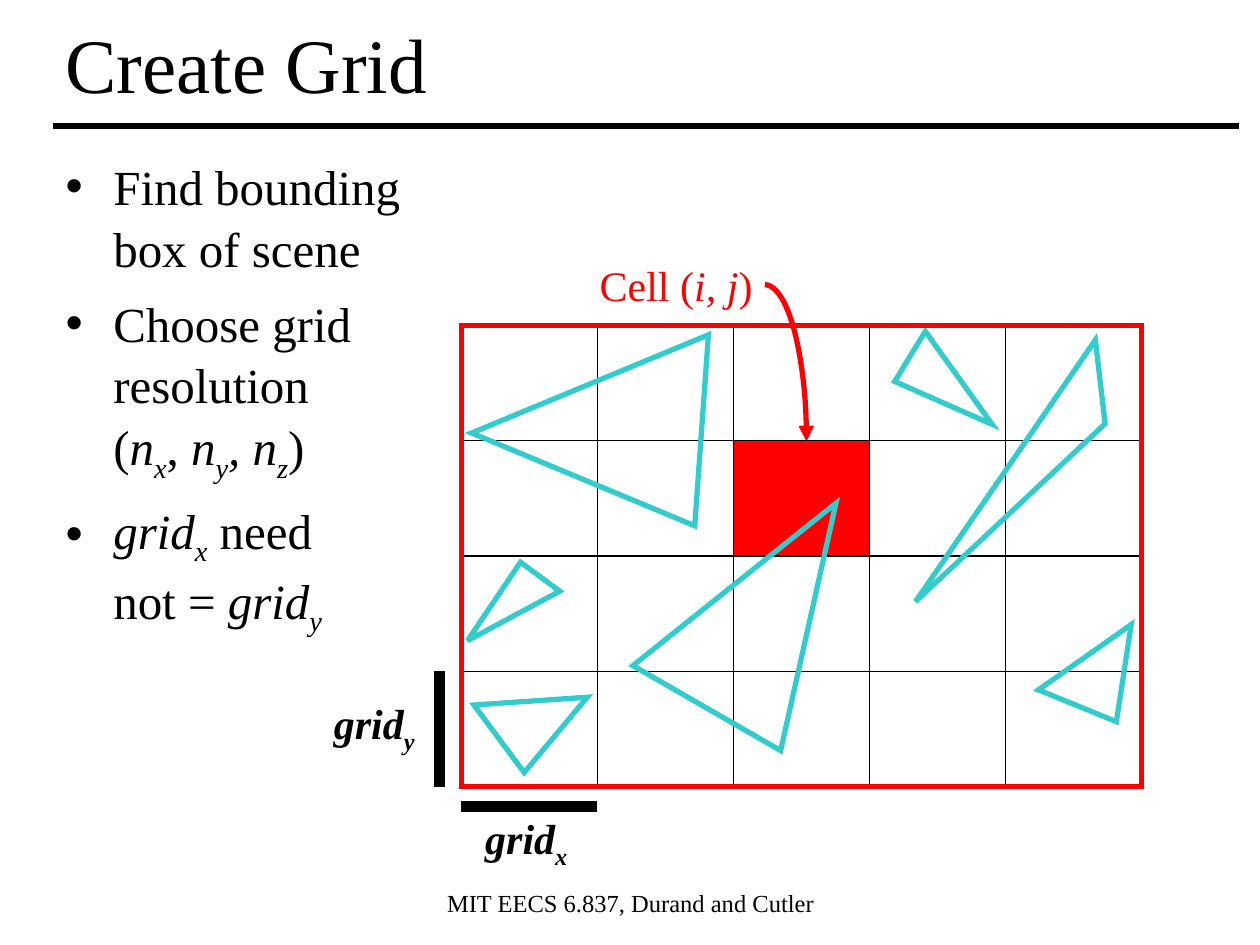
"""Build the slide on creating a grid over a scene."""
from lxml.etree import SubElement
from pptx import Presentation
from pptx.dml.color import RGBColor
from pptx.enum.shapes import MSO_CONNECTOR, MSO_SHAPE
from pptx.enum.text import MSO_ANCHOR, MSO_AUTO_SIZE, PP_ALIGN
from pptx.oxml.ns import qn
from pptx.util import Cm, Pt

TONES = {name: RGBColor.from_string(code) for name, code in {
    "black": "000000", "red": "FF0000", "teal": "33CCCC"}.items()}


def write(par, parts, size, tone="black", bold=False):
    for text, style in parts:
        if text == "\n":
            par.add_line_break()
            SubElement(par._p[-1], qn("a:rPr"), sz=str(size * 100))
            continue
        run = par.add_run()
        run.text = text
        form = {"name": "Times New Roman", "size": Pt(size),
                "bold": bold, "italic": "i" in style}
        for key, value in form.items():
            setattr(run.font, key, value)
        run.font.color.rgb = TONES[tone]
        if "s" in style:
            run._r.get_or_add_rPr().set("baseline", "-25000")


def ink(shape, tone, width):
    shape.line.color.rgb = TONES[tone]
    shape.line.width = Pt(width)
    SubElement(shape.line._get_or_add_ln(), qn("a:miter"), lim="800000")
    SubElement(shape._element.spPr, qn("a:effectLst"))


deck = Presentation()
deck.slide_width, deck.slide_height = Cm(25.4), Cm(19.05)
slide = deck.slides.add_slide(deck.slide_layouts[1])
shapes = slide.shapes
title, body = slide.placeholders

holders = [(title, (1.07, 0, 23.9, 2.51), MSO_ANCHOR.MIDDLE),
           (body, (1.07, 2.97, 7.65, 14.58), MSO_ANCHOR.TOP)]
for holder, box, anchor in holders:
    holder.left, holder.top, holder.width, holder.height = map(Cm, box)
    form = {"auto_size": MSO_AUTO_SIZE.NONE, "word_wrap": True,
            "vertical_anchor": anchor}
    for key, value in form.items():
        setattr(holder.text_frame, key, value)

head = title.text_frame.paragraphs[0]
head.alignment = PP_ALIGN.LEFT
write(head, [("Create Grid", "")], 44)

points = [
    [("Find bounding box of scene", "")],
    [("Choose grid resolution", ""), ("\n", ""), ("(", ""),
     ("n", "i"), ("x", "is"), (", ", ""), ("n", "i"), ("y", "is"),
     (", n", "i"), ("z", "is"), (")", "")],
    [("grid", "i"), ("x", "is"), (" need", ""), ("\n", ""),
     ("not = ", ""), ("grid", "i"), ("y", "is")],
]
for num, parts in enumerate(points):
    frame = body.text_frame
    par = frame.add_paragraph() if num else frame.paragraphs[0]
    props = par._p.get_or_add_pPr()
    props.set("marL", str(Cm(0.96)))
    props.set("indent", str(Cm(-0.96)))
    SubElement(SubElement(props, qn("a:buClr")), qn("a:srgbClr"),
               val=str(TONES["black"]))
    SubElement(props, qn("a:buChar"), char="•")
    par.line_spacing = 1.05
    par.space_before = Pt(7.4 if num else 0)
    write(par, parts, 28)

left, top, wide, high = 9.3, 6.56, 13.72, 9.3
col, row = wide / 5, high / 4
right, base = left + wide, top + high

cell = shapes.add_shape(MSO_SHAPE.RECTANGLE, Cm(left + 2 * col),
                        Cm(top + row), Cm(col), Cm(row))
cell.shadow.inherit = False
cell.fill.solid()
cell.fill.fore_color.rgb = TONES["red"]
cell.line.fill.background()

arc = shapes.add_shape(MSO_SHAPE.ARC, Cm(14.58), Cm(5.74), Cm(1.68), Cm(6.32))
arc.fill.background()
ink(arc, "red", 3)
SubElement(arc.line._get_or_add_ln(), qn("a:tailEnd"), type="triangle")

rules = [(left, top + n * row, right, top + n * row, 0.75) for n in range(5)]
rules += [(left + n * col, top, left + n * col, base, 0.75) for n in range(6)]
rules += [(1.07, 2.54, 24.97, 2.54, 3),
          (8.86, base, 8.86, base - row, 6),
          (left, 16.26, left + col, 16.26, 6)]
lines = []
for *ends, width in rules:
    line = shapes.add_connector(MSO_CONNECTOR.STRAIGHT, *map(Cm, ends))
    ink(line, "black", width)
    lines.append(line)

scene = [
    ((17.73, 7.39, 2.31, 1.09), 234.3, 0.8, None),
    ((17.53, 9.25, 6.4, 1.12), 304.5, 0.8, "flipV"),
    ((9.91, 6.2, 3.86, 4.62), 274.1, 0.6, "flipH"),
    ((12.14, 10.64, 5.11, 3.28), 282.6, 0.2, None),
    ((9.09, 11.58, 2.11, 0.89), 331.8, 0.8, None),
    ((20.85, 12.62, 1.98, 1.65), 278.7, 0.2, None),
    ((9.58, 13.46, 1.98, 1.65), 309.9, 0.2, None),
]
for box, angle, peak, flip in scene:
    tri = shapes.add_shape(MSO_SHAPE.ISOSCELES_TRIANGLE, *map(Cm, box))
    tri.rotation = angle
    tri.adjustments[0] = peak
    if flip:
        tri._element.spPr.xfrm.set(flip, "1")
    tri.fill.background()
    ink(tri, "teal", 3)

bound = shapes.add_shape(MSO_SHAPE.RECTANGLE, Cm(left), Cm(top),
                         Cm(wide), Cm(high))
bound.fill.background()
ink(bound, "red", 3)
lines[2].begin_connect(bound, 1)
lines[2].end_connect(bound, 3)

labels = [
    ((11.84, 5.11, 3.58, 1.27), 24, "red", False,
     [("Cell (", ""), ("i, j", "i"), (")", "")]),
    ((6.48, 13.94, 2.13, 1.42), 24, "black", True,
     [("grid", "i"), ("y", "is")]),
    ((9.53, 16.26, 2.16, 1.42), 24, "black", True,
     [("grid", "i"), ("x", "is")]),
    ((8.69, 17.78, 8.05, 1.45), 14, "black", False,
     [("MIT EECS 6.837, Durand and Cutler", "")]),
]
for box, size, tone, bold, parts in labels:
    label = shapes.add_textbox(*map(Cm, box))
    label.text_frame.word_wrap = False
    par = label.text_frame.paragraphs[0]
    par.alignment = PP_ALIGN.CENTER
    write(par, parts, size, tone, bold)

deck.save("out.pptx")
